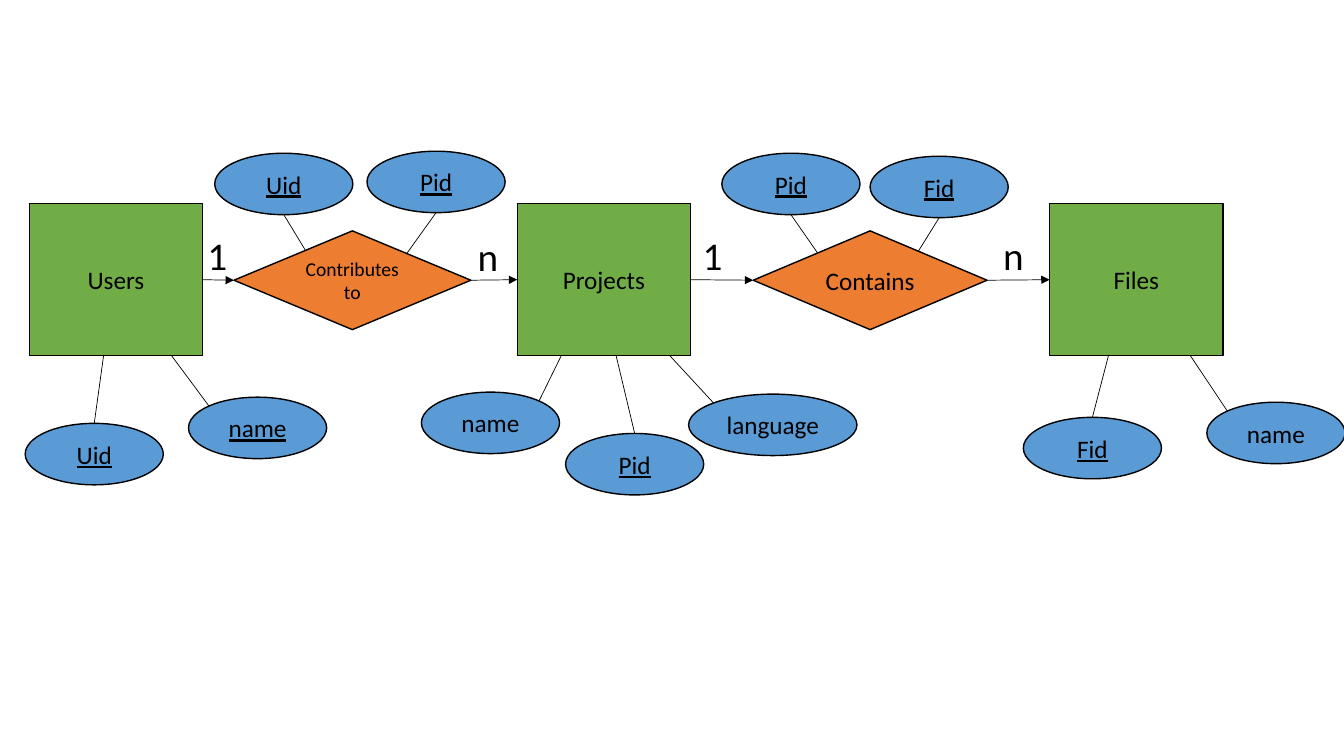
from dataclasses import dataclass

from pptx import Presentation
from pptx.dml.color import RGBColor
from pptx.enum.shapes import MSO_CONNECTOR, MSO_SHAPE
from pptx.enum.text import MSO_ANCHOR, MSO_AUTO_SIZE, PP_ALIGN
from pptx.oxml.ns import qn
from pptx.util import Inches, Pt
from lxml.etree import SubElement

BLACK, GREEN, BLUE, ORANGE = "000000", "70AD47", "5B9BD5", "ED7D31"
TOP, BOTTOM, UPPER_LEFT, UPPER_RIGHT = (0.5, 0), (0.5, 1), (0.15, 0.15), (0.85, 0.15)
LEFT_SIDE, RIGHT_SIDE = 1, 3
ENTITY_W, ENTITY_H, ENTITY_Y = 1.72, 1.51, 2.02
DIAMOND_H, DIAMOND_Y = 0.98, 2.29
OVAL_H = 0.61


@dataclass
class Entity:
    text: str
    x: float


@dataclass
class Relation:
    text: str
    x: float
    w: float
    size: int = 18


@dataclass
class Attribute:
    text: str
    x: float
    y: float
    site: tuple
    owner: tuple
    key: bool = True
    w: float = 1.37


@dataclass
class Cardinality:
    text: str
    x: float
    y: float = 2.25


ENTITIES = [Entity("Users", 0.29), Entity("Projects", 5.13), Entity("Files", 10.41)]
RELATIONS = [Relation("Contributes to", 2.32, 2.35, 14), Relation("Contains", 7.47, 2.32)]
CONTRIBUTES, CONTAINS = (3.5, 3.26), (8.63, 3.26)
ATTRIBUTES = [
    Attribute("Uid", 0.25, 4.2, TOP, (1.11, 2.93)),
    Attribute("name", 1.87, 3.94, UPPER_LEFT, (1.22, 2.88)),
    Attribute("name", 4.18, 3.89, UPPER_RIGHT, (5.86, 2.93), key=False),
    Attribute("Pid", 5.61, 4.3, TOP, (5.98, 2.98)),
    Attribute("language", 6.83, 3.91, UPPER_LEFT, (6.09, 2.93), key=False, w=1.67),
    Attribute("Fid", 10.15, 4.14, TOP, (11.16, 2.89)),
    Attribute("name", 11.97, 3.99, UPPER_LEFT, (11.38, 2.89), key=False),
    Attribute("Uid", 2.13, 1.52, BOTTOM, CONTRIBUTES),
    Attribute("Pid", 3.64, 1.5, BOTTOM, CONTRIBUTES),
    Attribute("Pid", 7.16, 1.52, BOTTOM, CONTAINS),
    Attribute("Fid", 8.63, 1.55, BOTTOM, CONTAINS),
]
CARDINALITIES = [
    Cardinality("1", 1.96), Cardinality("n", 4.64, 2.26),
    Cardinality("1", 6.87), Cardinality("n", 9.85),
]


def rgb(value: str) -> RGBColor:
    return RGBColor.from_string(value)


def write(tf, text: str, *, size=18, underline=None, align=PP_ALIGN.CENTER,
          anchor=MSO_ANCHOR.MIDDLE, wrap=True) -> None:
    tf.word_wrap = wrap
    tf.vertical_anchor = anchor
    p = tf.paragraphs[0]
    p.alignment = align
    r = p.add_run()
    r.text = text
    r.font.name = "Calibri"
    r.font.size = Pt(size)
    r.font.underline = underline
    r.font.color.rgb = rgb(BLACK)


def add_node(s, kind, x: float, y: float, w: float, h: float, fill: str, text: str, **fmt):
    sp = s.shapes.add_shape(kind, Inches(x), Inches(y), Inches(w), Inches(h))
    sp.shadow.inherit = False
    sp.fill.solid()
    sp.fill.fore_color.rgb = rgb(fill)
    sp.line.color.rgb = rgb(BLACK)
    sp.line.width = Pt(1)
    write(sp.text_frame, text, **fmt)
    return sp


def add_link(s, start: tuple = (0, 0), end: tuple = (0, 0)):
    points = [Inches(v) for v in (*start, *end)]
    link = s.shapes.add_connector(MSO_CONNECTOR.STRAIGHT, *points)
    link.line.color.rgb = rgb(BLACK)
    link.line.width = Pt(0.5)
    SubElement(link._element.spPr, qn("a:effectLst"))
    return link


def add_arrow(s, source, target) -> None:
    arrow = add_link(s)
    arrow.begin_connect(source, RIGHT_SIDE)
    arrow.end_connect(target, LEFT_SIDE)
    SubElement(arrow.line._get_or_add_ln(), qn("a:tailEnd"), type="triangle")


def add_attribute(s, a: Attribute) -> None:
    sp = add_node(s, MSO_SHAPE.OVAL, a.x, a.y, a.w, OVAL_H, BLUE, a.text,
                  underline=a.key or None)
    fx, fy = a.site
    link = add_link(s, a.owner, (a.x + fx * a.w, a.y + fy * OVAL_H))
    if a.site == TOP:
        link.end_connect(sp, 0)


def add_entity(s, e: Entity):
    return add_node(s, MSO_SHAPE.RECTANGLE, e.x, ENTITY_Y, ENTITY_W, ENTITY_H, GREEN, e.text)


def add_relation(s, r: Relation):
    return add_node(s, MSO_SHAPE.FLOWCHART_DECISION, r.x, DIAMOND_Y, r.w, DIAMOND_H,
                    ORANGE, r.text, size=r.size)


def add_cardinality(s, c: Cardinality) -> None:
    box = s.shapes.add_textbox(Inches(c.x), Inches(c.y), Inches(0.4), Inches(0.57))
    write(box.text_frame, c.text, size=28, align=PP_ALIGN.LEFT,
          anchor=MSO_ANCHOR.TOP, wrap=False)
    box.text_frame.auto_size = MSO_AUTO_SIZE.SHAPE_TO_FIT_TEXT


def main() -> None:
    prs = Presentation()
    prs.slide_width, prs.slide_height = Inches(13.33), Inches(7.5)
    s = prs.slides.add_slide(prs.slide_layouts[6])
    for a in ATTRIBUTES:
        add_attribute(s, a)
    entities = [add_entity(s, e) for e in ENTITIES]
    relations = [add_relation(s, r) for r in RELATIONS]
    for source, relation, target in zip(entities, relations, entities[1:]):
        add_arrow(s, source, relation)
        add_arrow(s, relation, target)
    for c in CARDINALITIES:
        add_cardinality(s, c)
    prs.save("out.pptx")


if __name__ == "__main__":
    main()
